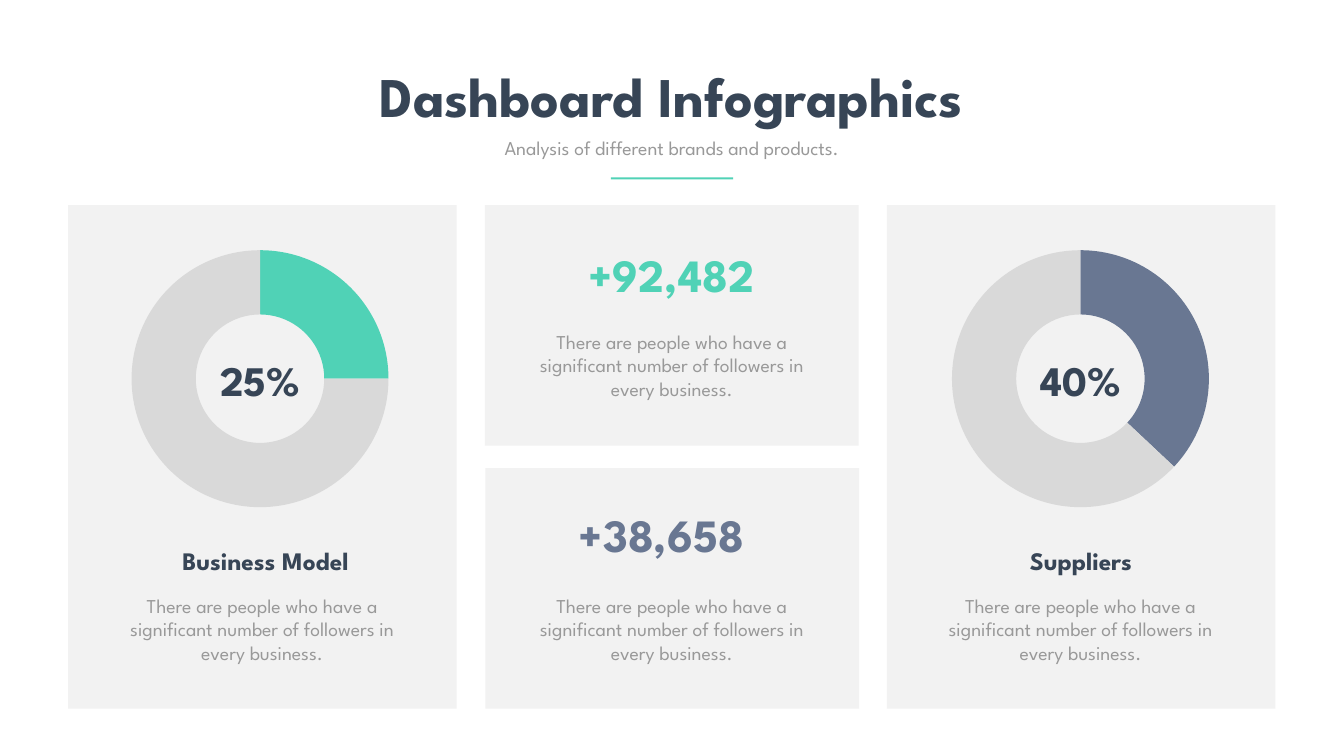
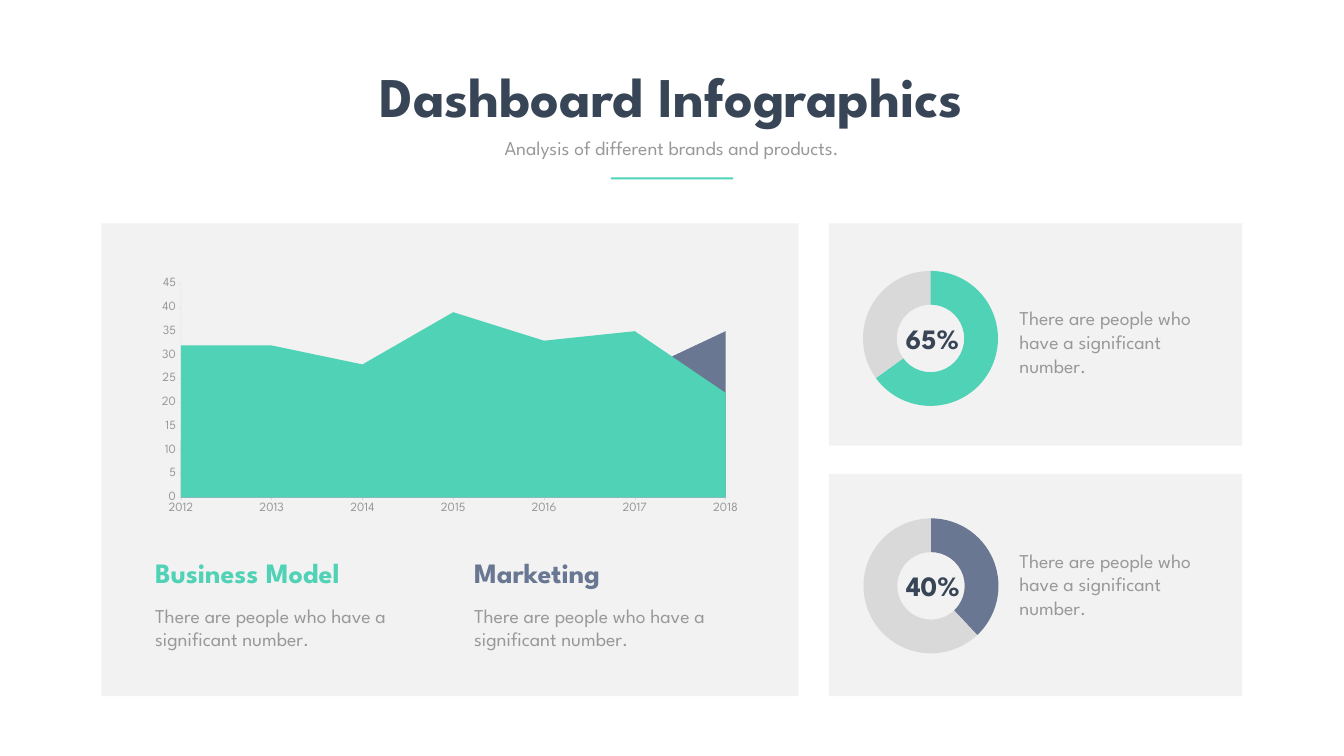
from pptx import Presentation
from pptx.chart.data import CategoryChartData
from pptx.dml.color import RGBColor
from pptx.enum.chart import XL_CHART_TYPE as ChartType, XL_TICK_MARK as TickMark
from pptx.enum.shapes import MSO_SHAPE as Preset
from pptx.enum.text import MSO_AUTO_SIZE as AutoSize, PP_ALIGN as Align
from pptx.oxml import parse_xml
from pptx.oxml.ns import nsdecls
from pptx.util import Inches, Pt

NAVY = RGBColor(0x37, 0x45, 0x56)
TEAL = RGBColor(0x50, 0xD2, 0xB6)
SLATE = RGBColor(0x69, 0x77, 0x92)
BLUE = RGBColor(0x82, 0xA4, 0xFE)
GRAY = RGBColor(0x99, 0x99, 0x99)
RING = RGBColor(0xD9, 0xD9, 0xD9)
PANEL = RGBColor(0xF2, 0xF2, 0xF2)
AXIS = RGBColor(0x80, 0x80, 0x80)
FONT = "League Spartan"

# Content
TITLE = "Dashboard Infographics"
SUBTITLE = "Analysis of different brands and products."
LONG_NOTE = ("There are people who have a significant number of followers "
             "in every business.")
SHORT_NOTE = "There are people who have a significant number."

# Panel left, ring left, label left, heading left, note left, then contents
RING_CARDS = [
    (1.35, 2.39, 3.35, 3.14, 2.43, "25%", 25, TEAL, "Business Model"),
    (17.6, 18.67, 19.63, 19.32, 18.67, "40%", 37, SLATE, "Suppliers"),
]
# Panel left and top, figure left and top, note top, then contents
FIGURE_CARDS = [
    (9.62, 4.07, 11.52, 4.83, 6.49, "+92,482", TEAL),
    (9.63, 9.29, 11.32, 10, 11.73, "+38,658", SLATE),
]
# Panel top, ring left and top, note top, then contents
SIDE_CARDS = [
    (4.43, 16.25, 5.24, 6.03, "65%", 65, TEAL),
    (9.4, 16.26, 10.15, 10.84, "40%", 38, SLATE),
]
YEARS = ["2012", "2013", "2014", "2015", "2016", "2017", "2018"]
NO_VALUES = (None,) * len(YEARS)
TRENDS = [
    ("Series 1", (32, 32, 28, 39, 33, 35, 22), TEAL),
    ("Series 2", (12, 24, 22, 21, 28, 26, 35), SLATE),
    ("Series 3", NO_VALUES, TEAL),
    ("Series 4", NO_VALUES, BLUE),
]
TREND_NOTES = [(2.98, "Business Model", TEAL), (9.31, "Marketing", SLATE)]


def add_text(slide, text, left, top, width, height, size=28, color=GRAY,
             bold=False, align=Align.CENTER, wrap=True):
    box = slide.shapes.add_textbox(Inches(left), Inches(top),
                                   Inches(width), Inches(height))
    frame = box.text_frame
    frame.word_wrap = wrap
    frame.auto_size = AutoSize.SHAPE_TO_FIT_TEXT
    paragraph = frame.paragraphs[0]
    paragraph.alignment = align
    run = paragraph.add_run()
    run.text = text
    run.font.name = FONT
    run.font.size = Pt(size)
    run.font.bold = bold
    run.font.color.rgb = color


def add_block(slide, left, top, width, height, color=PANEL,
              preset=Preset.ROUNDED_RECTANGLE):
    shape = slide.shapes.add_shape(preset, Inches(left), Inches(top),
                                   Inches(width), Inches(height))
    if preset == Preset.ROUNDED_RECTANGLE:
        shape.adjustments[0] = 0
    shape.shadow.inherit = False
    shape.fill.solid()
    shape.fill.fore_color.rgb = color
    shape.line.fill.background()


def add_chart(slide, kind, categories, series, area, plot, font, size):
    """Add a chart at area; plot is the inner plot box, in inches within it."""
    data = CategoryChartData()
    data.categories = categories
    for name, values in series:
        data.add_series(name, values)
    chart = slide.shapes.add_chart(kind, *map(Inches, area), data).chart
    chart.has_legend = False
    chart.has_title = False
    chart.font.name = font
    chart.font.size = Pt(size)
    chart.font.color.rgb = GRAY

    plot_area = chart.element.xpath("c:chart/c:plotArea")[0]
    for layout in plot_area.xpath("c:layout"):
        plot_area.remove(layout)
    width, height = area[2:]
    shares = zip("xywh", plot, (width, height, width, height))
    sizes = "".join(f'<c:{key} val="{part / whole:.4f}"/>'
                    for key, part, whole in shares)
    plot_area.insert(0, parse_xml(
        f'<c:layout {nsdecls("c")}><c:manualLayout>'
        '<c:layoutTarget val="inner"/><c:xMode val="edge"/>'
        f'<c:yMode val="edge"/>{sizes}</c:manualLayout></c:layout>'))
    return chart


def add_ring(slide, share, color, area, diameter, hole):
    width, height = area[2:]
    plot = ((width - diameter) / 2, (height - diameter) / 2,
            diameter, diameter)
    chart = add_chart(slide, ChartType.DOUGHNUT, ["1", "2"],
                      [("Series 1", (share, 100 - share))],
                      area, plot, "Calibri", 10)
    chart.plots[0].vary_by_categories = True
    chart.element.xpath(".//c:holeSize")[0].set("val", str(hole))
    for index, part_color in enumerate((color, RING)):
        fill = chart.series[0].points[index].format.fill
        fill.solid()
        fill.fore_color.rgb = part_color


def add_trend_chart(slide):
    chart = add_chart(slide, ChartType.AREA, YEARS,
                      [trend[:2] for trend in TRENDS],
                      (2.98, 5.42, 11.91, 4.86), (0.61, 0.21, 10.81, 4.24),
                      FONT, 18)
    chart.plots[0].vary_by_categories = False
    for series, (_, _, color) in zip(chart.series, TRENDS):
        series.format.fill.solid()
        series.format.fill.fore_color.rgb = color
    values = chart.value_axis
    values.minimum_scale, values.maximum_scale = 0, 45
    values.major_unit = 5
    for axis, color in ((values, AXIS), (chart.category_axis, RING)):
        axis.has_major_gridlines = False
        axis.major_tick_mark = TickMark.OUTSIDE
        axis.minor_tick_mark = TickMark.NONE
        axis.format.line.width = Pt(0.75)
        axis.format.line.color.rgb = color
    # The value axis line is nearly transparent
    line_color = chart.element.xpath(".//c:valAx/c:spPr/a:ln//a:srgbClr")[0]
    line_color.append(parse_xml(f'<a:alpha {nsdecls("a")} val="10000"/>'))


def add_slide(presentation):
    slide = presentation.slides.add_slide(presentation.slide_layouts[6])
    add_text(slide, TITLE, 6.69, 1.17, 13.27, 1.45, size=80, color=NAVY,
             bold=True, wrap=False)
    add_text(slide, SUBTITLE, 8.55, 2.65, 9.56, 0.57)
    add_block(slide, 12.12, 3.52, 2.43, 0.04, TEAL, Preset.RECTANGLE)
    return slide


def build_figures_slide(presentation):
    slide = add_slide(presentation)
    for (panel, ring, label_left, heading_left, note_left,
         label, share, color, heading) in RING_CARDS:
        add_block(slide, panel, 4.07, 7.71, 9.99)
        add_ring(slide, share, color, (ring, 4.83, 5.54, 5.37), 5.1, 80)
        add_text(slide, label, label_left, 6.98, 3.62, 1.11, size=60,
                 color=NAVY, bold=True)
        add_text(slide, heading, heading_left, 10.78, 4.26, 0.71, size=36,
                 color=NAVY, bold=True)
        add_text(slide, LONG_NOTE, note_left, 11.73, 5.54, 1.51)
    for left, top, figure_left, figure_top, note_top, figure, color in FIGURE_CARDS:
        add_block(slide, left, top, 7.42, 4.77)
        add_text(slide, figure, figure_left, figure_top, 3.61, 1.21, size=66,
                 color=color, bold=True, wrap=False)
        add_text(slide, LONG_NOTE, 10.56, note_top, 5.54, 1.51)


def build_trend_slide(presentation):
    slide = add_slide(presentation)
    # Trend panel
    add_block(slide, 2.01, 4.43, 13.84, 9.38)
    add_trend_chart(slide)
    for left, heading, color in TREND_NOTES:
        add_text(slide, SHORT_NOTE, left, 11.93, 5.57, 1.04, align=Align.LEFT)
        add_text(slide, heading, left, 10.98, 5.57, 0.77, size=40,
                 color=color, bold=True, align=Align.LEFT)
    # Ring panels
    for panel_top, left, top, note_top, label, share, color in SIDE_CARDS:
        add_block(slide, 16.45, panel_top, 8.2, 4.41)
        add_ring(slide, share, color, (left, top, 4.43, 2.95), 2.68, 75)
        add_text(slide, label, left + 1.41, top + 1.09, 1.68, 0.77, size=40,
                 color=NAVY, bold=True)
        add_text(slide, SHORT_NOTE, 20.13, note_top, 3.98, 1.51,
                 align=Align.LEFT)


def main():
    presentation = Presentation()
    presentation.slide_width = Inches(26.67)
    presentation.slide_height = Inches(15)
    build_figures_slide(presentation)
    build_trend_slide(presentation)
    presentation.save("out.pptx")


if __name__ == "__main__":
    main()
